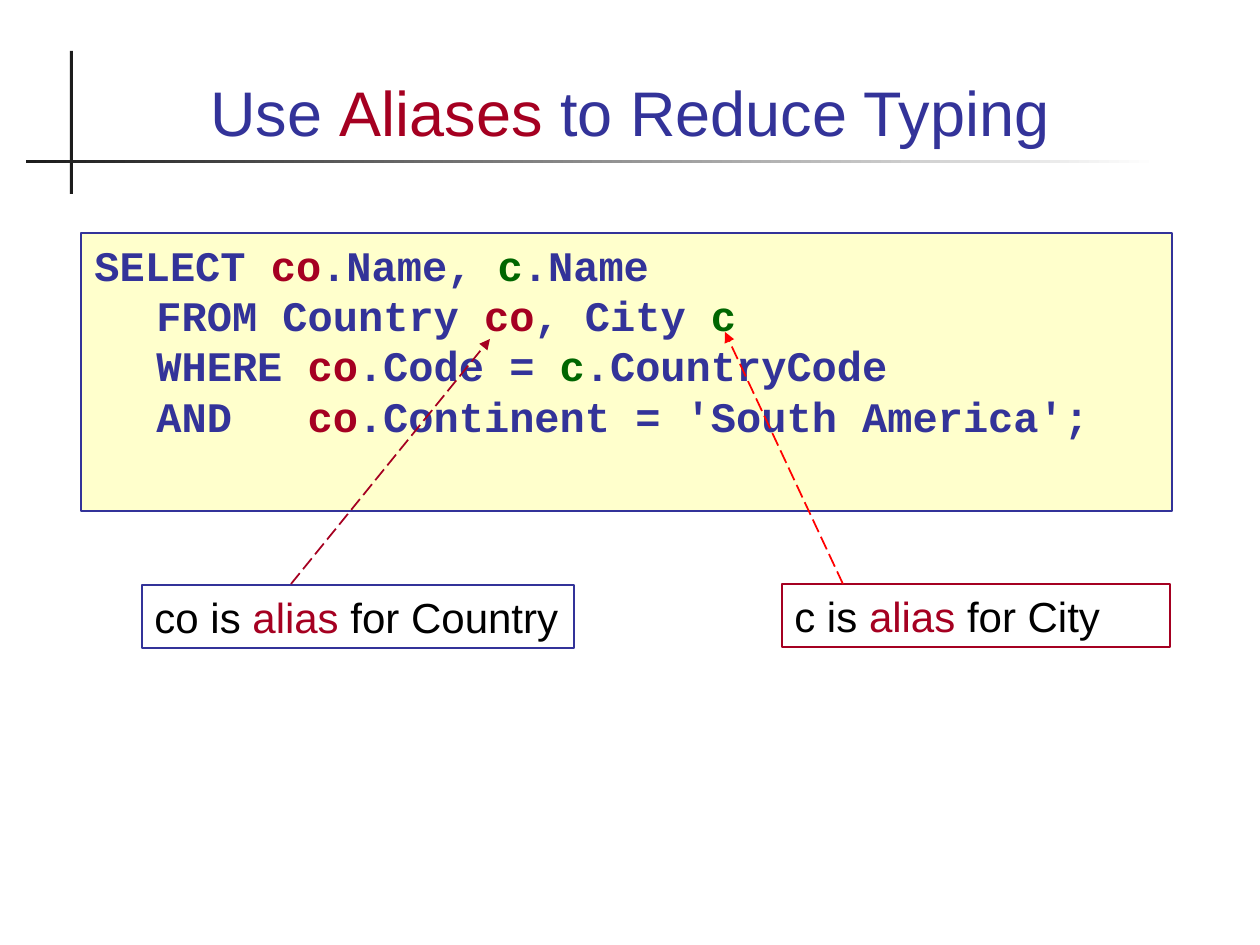
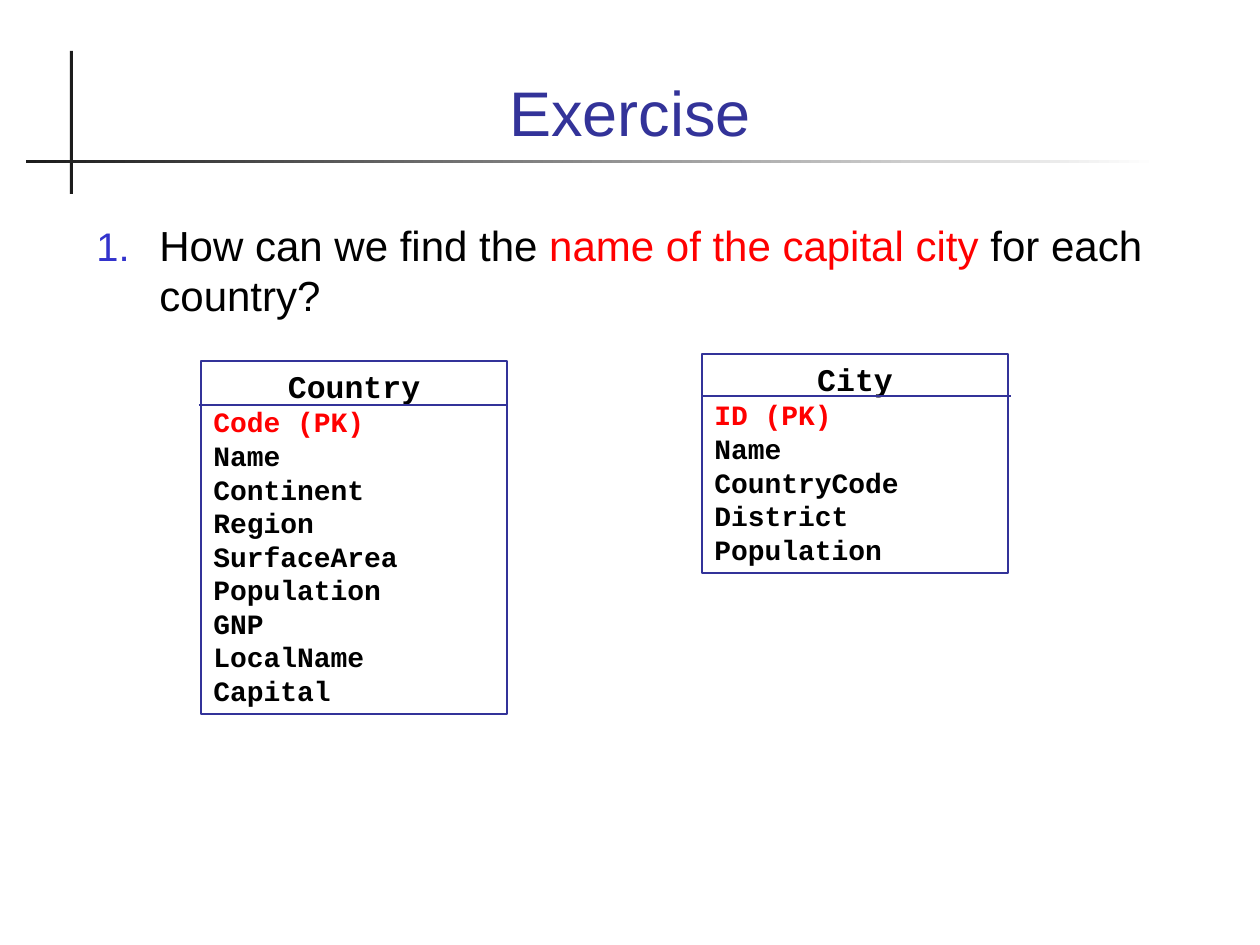
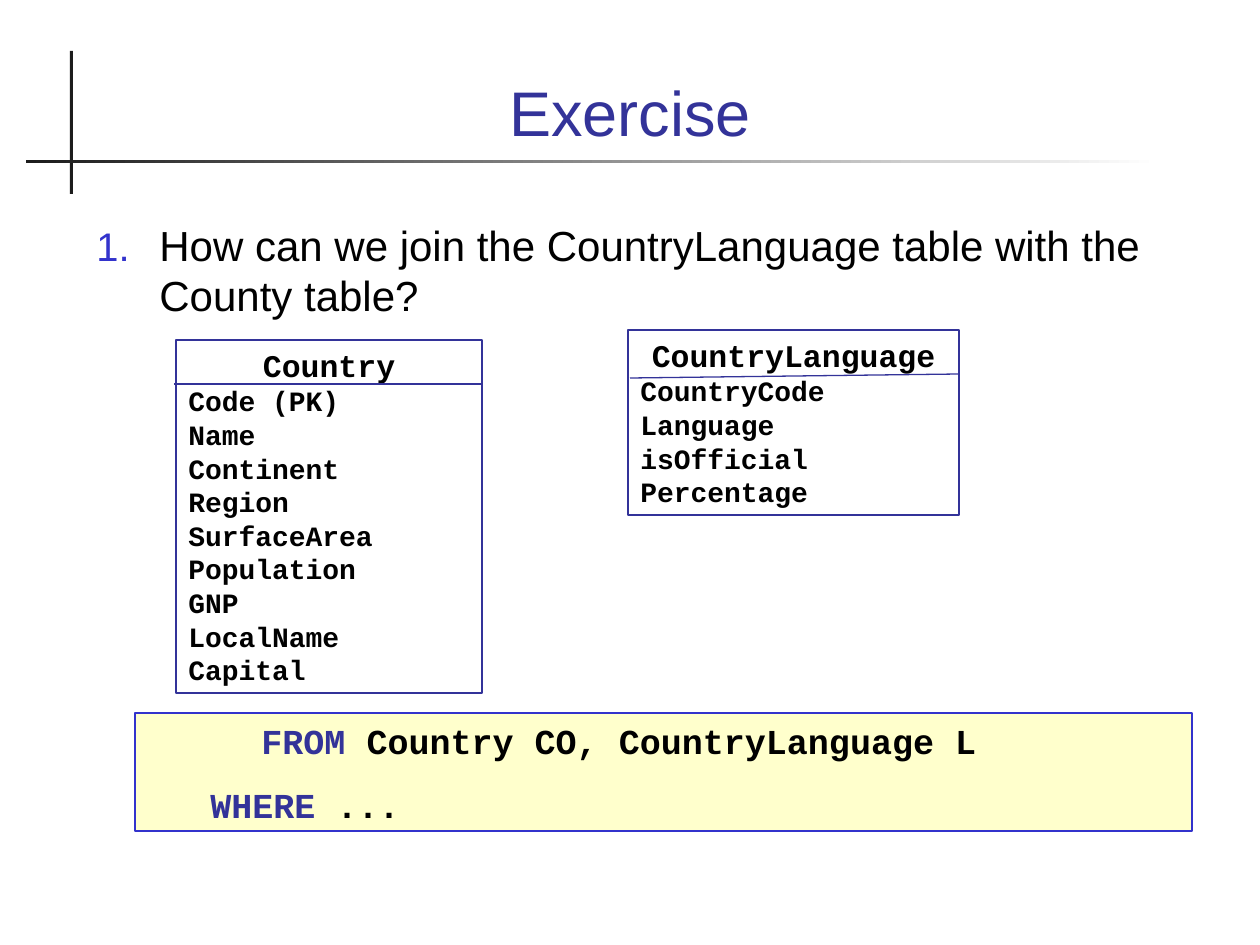
"""Build three slides on SQL table aliases and join exercises."""
from lxml import etree
from pptx import Presentation
from pptx import util as u
from pptx.dml.color import RGBColor
from pptx.enum import dml, shapes, text
from pptx.oxml.ns import qn

PX = u.Inches(1) / 126
INDIGO = RGBColor(0x33, 0x33, 0x99)
BLUE = RGBColor(0x33, 0x33, 0xCC)
CRIMSON = RGBColor(0xA5, 0x00, 0x21)
RED = RGBColor(0xFF, 0x00, 0x00)
GREEN = RGBColor(0x00, 0x66, 0x00)
CREAM = RGBColor(0xFF, 0xFF, 0xCC)
CHARCOAL = RGBColor(0x1C, 0x1C, 0x1C)
BLACK = RGBColor(0, 0, 0)
WHITE = RGBColor(0xFF, 0xFF, 0xFF)

TITLE = {"name": "Arial", "size": u.Pt(36)}
BODY = {"name": "Arial", "size": u.Pt(24)}
CODE = {"name": "Courier New", "size": u.Pt(24), "bold": True}
CLAUSE = CODE | {"size": u.Pt(20)}
ENTITY = CODE | {"size": u.Pt(18)}
FIELD = CODE | {"size": u.Pt(16)}
CENTER = {"alignment": text.PP_ALIGN.CENTER}
LEFT = {"alignment": text.PP_ALIGN.LEFT}


def add_box(page, area, line=None, fill=None, width=0.75):
    """Add a top-anchored text area, framed when a line colour is given."""
    spot = [u.Emu(value * PX) for value in area]
    if line is None:
        box = page.shapes.add_textbox(*spot)
    else:
        box = page.shapes.add_shape(shapes.MSO_SHAPE.RECTANGLE, *spot)
        box.shadow.inherit = False
        box.line.color.rgb = line
        box.line.width = u.Pt(width)
        if fill is None:
            box.fill.background()
        else:
            box.fill.solid()
            box.fill.fore_color.rgb = fill
    box.text_frame.word_wrap = True
    box.text_frame.vertical_anchor = text.MSO_ANCHOR.TOP
    return box.text_frame


def write(frame, spans, font, layout=LEFT, indent=(0, 0)):
    """Write coloured spans as the next paragraph of a text frame."""
    para = frame.paragraphs[0]
    if para.runs:
        para = frame.add_paragraph()
    for name, value in layout.items():
        setattr(para, name, value)
    margin, first = indent
    props = para._p.get_or_add_pPr()
    props.set("marL", str(int(margin * PX)))
    props.set("indent", str(int(first * PX)))
    for words, color in spans:
        for number, piece in enumerate(words.split("\n")):
            if number:
                para.add_line_break()
            if piece:
                span = para.add_run()
                span.text = piece
                span.font.color.rgb = color
                for name, value in font.items():
                    setattr(span.font, name, value)
    return para


country_fields = ["Code (PK)", "Name", "Continent", "Region", "SurfaceArea",
                  "Population", "GNP", "LocalName", "Capital"]
city_fields = ["ID (PK)", "Name", "CountryCode", "District", "Population"]
language_fields = ["CountryCode", "Language", "isOfficial", "Percentage"]

deck = Presentation()
deck.slide_width, deck.slide_height = u.Emu(1260 * PX), u.Emu(945 * PX)

titles = [
    [("Use ", INDIGO), ("Aliases", CRIMSON), (" to Reduce Typing", INDIGO)],
    [("Exercise", INDIGO)],
    [("Exercise", INDIGO)],
]
for spans in titles:
    page = deck.slides.add_slide(deck.slide_layouts[6])
    for area in [(70, 51, 3, 143), (26, 160, 1133, 3)]:
        rule = page.shapes.add_shape(shapes.MSO_SHAPE.RECTANGLE,
                                     *[u.Emu(value * PX) for value in area])
        rule.shadow.inherit = False
        rule.line.fill.background()
        rule.fill.solid()
        rule.fill.fore_color.rgb = CHARCOAL
    rule.fill.gradient()
    rule.fill.gradient_angle = 0
    for stop, color in zip(rule.fill.gradient_stops, (CHARCOAL, WHITE)):
        stop.color.rgb = color
    frame = add_box(page, (84, 35, 1092, 120))
    frame.vertical_anchor = text.MSO_ANCHOR.BOTTOM
    write(frame, spans, TITLE, CENTER)

alias_page, capital_page, language_page = deck.slides

for area, line, alias, table in [((782, 584, 388, 63), CRIMSON, "c", "City"),
                                 ((142, 585, 432, 63), INDIGO, "co", "Country")]:
    frame = add_box(alias_page, area, line)
    write(frame, [(f"{alias} is ", BLACK), ("alias", CRIMSON), (f" for {table}", BLACK)], BODY)

query = [
    ("SELECT ", INDIGO), ("co", CRIMSON), (".Name, ", INDIGO), ("c", GREEN),
    (".Name\nFROM Country ", INDIGO), ("co", CRIMSON), (", City ", INDIGO), ("c", GREEN),
    ("\nWHERE ", INDIGO), ("co", CRIMSON), (".Code = ", INDIGO), ("c", GREEN),
    (".CountryCode\nAND   ", INDIGO), ("co", CRIMSON),
    (".Continent = 'South America';", INDIGO),
]
frame = add_box(alias_page, (81, 233, 1091, 278), INDIGO, CREAM)
write(frame, query, CODE, indent=(63, -62))

questions = [
    (capital_page, [("How can we find the ", BLACK), ("name of the capital city", RED),
                    (" for each country?", BLACK)]),
    (language_page, [("How can we join the CountryLanguage table with the County table?",
                      BLACK)]),
]
for page, spans in questions:
    para = write(add_box(page, (84, 213, 1092, 130)), spans, BODY, indent=(63, -63))
    props = para._p.get_or_add_pPr()
    bullet_color = etree.SubElement(props, qn("a:buClr"))
    etree.SubElement(bullet_color, qn("a:srgbClr"), val=str(BLUE))
    etree.SubElement(props, qn("a:buSzPct"), val="95000")
    etree.SubElement(props, qn("a:buFont"), typeface="Arial")
    etree.SubElement(props, qn("a:buAutoNum"), type="arabicPeriod")

entities = [
    (capital_page, (201, 361, 306, 353), "Country", country_fields, RED),
    (capital_page, (702, 354, 306, 219), "City", city_fields, RED),
    (language_page, (176, 340, 306, 353), "Country", country_fields, BLACK),
    (language_page, (628, 330, 331, 185), "CountryLanguage", language_fields, BLACK),
]
for page, area, entity, fields, key_color in entities:
    frame = add_box(page, area, INDIGO, width=1)
    write(frame, [(entity, BLACK)], ENTITY, CENTER)
    for number, field in enumerate(fields):
        write(frame, [(field, BLACK if number else key_color)], FIELD)

frame = add_box(language_page, (135, 713, 1057, 118), BLUE, CREAM)
write(frame, [("FROM", INDIGO), (" Country CO, CountryLanguage L", BLACK)], CLAUSE,
      indent=(114, 0))
write(frame, [("WHERE", INDIGO), (" ...", BLACK)], CLAUSE,
      LEFT | {"space_before": u.Pt(12.5)}, (63, 0))

links = [
    (alias_page, (843, 584, 725, 332), RED, True),
    (alias_page, (291, 584, 490, 339), CRIMSON, True),
    (capital_page, (199, 405, 508, 405), INDIGO, False),
    (capital_page, (702, 396, 1011, 396), INDIGO, False),
    (language_page, (174, 384, 483, 384), INDIGO, False),
    (language_page, (630, 378, 960, 374), INDIGO, False),
]
for page, ends, color, is_arrow in links:
    link = page.shapes.add_connector(shapes.MSO_CONNECTOR.STRAIGHT,
                                     *[u.Emu(value * PX) for value in ends])
    link.line.color.rgb = color
    link.line.width = u.Pt(1 if is_arrow else 0.75)
    if is_arrow:
        link.line.dash_style = dml.MSO_LINE.LONG_DASH
        etree.SubElement(link.line._get_or_add_ln(), qn("a:tailEnd"), type="triangle")
    etree.SubElement(link._element.spPr, qn("a:effectLst"))

deck.save("out.pptx")
